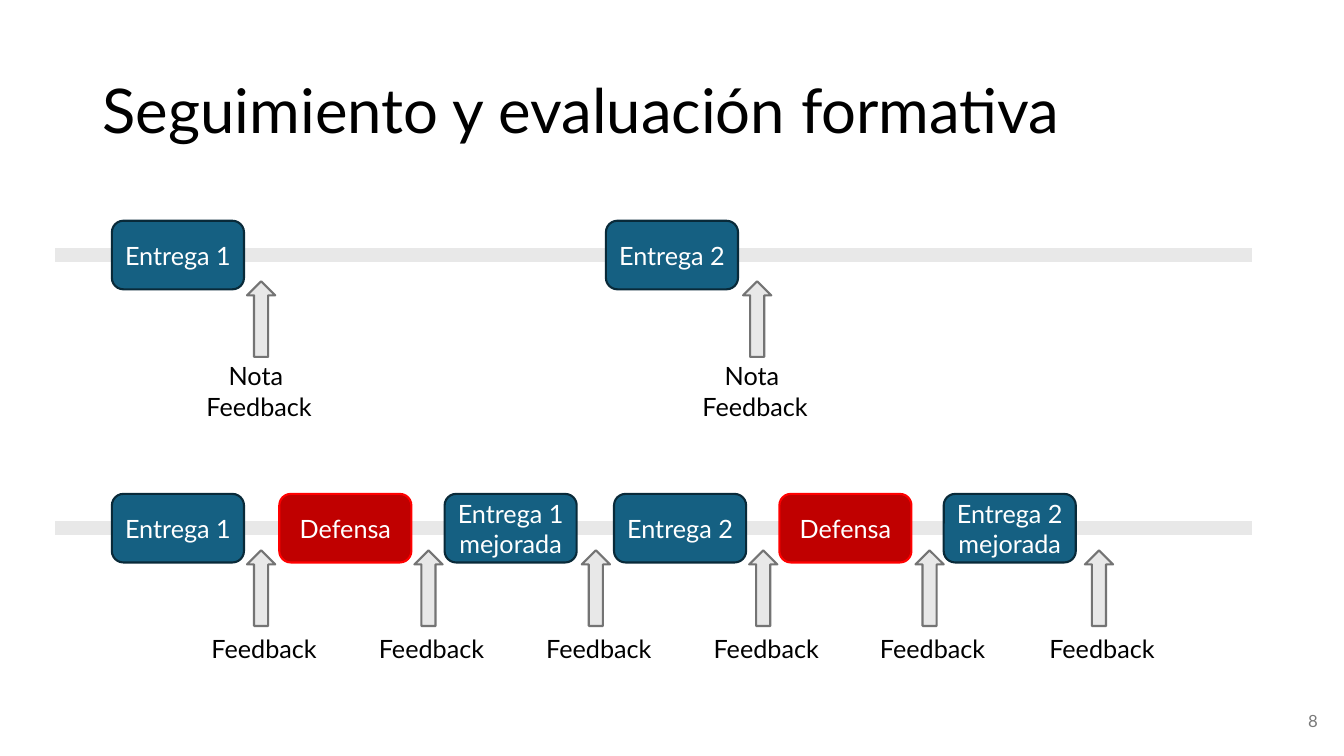
from lxml import etree
from pptx import Presentation
from pptx.dml.color import RGBColor
from pptx.enum.shapes import MSO_CONNECTOR, MSO_SHAPE
from pptx.enum.text import MSO_ANCHOR, MSO_AUTO_SIZE, PP_ALIGN
from pptx.oxml.ns import qn
from pptx.util import Inches, Pt

LEFT, CENTER, RIGHT = PP_ALIGN.LEFT, PP_ALIGN.CENTER, PP_ALIGN.RIGHT
MIDDLE = MSO_ANCHOR.MIDDLE
ROUNDED, UP_ARROW = MSO_SHAPE.ROUNDED_RECTANGLE, MSO_SHAPE.UP_ARROW
BLACK = RGBColor(0x00, 0x00, 0x00)
WHITE = RGBColor(0xFF, 0xFF, 0xFF)
TRACK_GRAY = RGBColor(0xE8, 0xE8, 0xE8)
ARROW_EDGE = RGBColor(0x74, 0x74, 0x74)
NUMBER_GRAY = RGBColor(0x79, 0x79, 0x79)
BLUE, BLUE_EDGE = RGBColor(0x15, 0x60, 0x82), RGBColor(0x09, 0x2A, 0x39)
CRIMSON, RED = RGBColor(0xC0, 0x00, 0x00), RGBColor(0xFF, 0x00, 0x00)

TRACK_START, TRACK_END = 0.55, 12.42
STEP_W, STEP_H, STEP_INSET = 1.31, 0.68, 0.04
ARROW_W, ARROW_H = 0.28, 0.75
LABEL_W = 1.27

# Each track: height of its line, steps (text, left), arrow drop,
# arrow centres, feedback text, its shift from the arrow, its drop and height
TRACKS = [
    (5.24,
     [("Entrega 1", 1.11), ("Defensa", 2.77), ("Entrega 1 mejorada", 4.41),
      ("Entrega 2", 6.09), ("Defensa", 7.73), ("Entrega 2 mejorada", 9.36)],
     0.22, [2.59, 4.25, 5.91, 7.57, 9.22, 10.9], "Feedback", 0.03, 0.99, 0.4),
    (2.53, [("Entrega 1", 1.11), ("Entrega 2", 6.01)],
     0.26, [2.59, 7.51], "Nota \nFeedback", -0.02, 1, 0.71),
]

prs = Presentation()
prs.slide_width, prs.slide_height = Inches(13.33), Inches(7.5)
slide = prs.slides.add_slide(prs.slide_layouts[6])
shapes = slide.shapes


def write(shape, text, size, color, align, anchor=MIDDLE, wrap=True):
    frame = shape.text_frame
    frame.text = text
    frame.word_wrap = wrap
    frame.vertical_anchor = anchor
    for paragraph in frame.paragraphs:
        paragraph.alignment = align
        for run in paragraph.runs:
            run.font.name = "Lato"
            run.font.size = Pt(size)
            run.font.color.rgb = color
    return frame


def add_block(kind, left, top, width, height, fill, edge):
    block = shapes.add_shape(kind, Inches(left), Inches(top), Inches(width), Inches(height))
    block.shadow.inherit = False
    block.fill.solid()
    block.fill.fore_color.rgb = fill
    block.line.color.rgb = edge
    block.line.width = Pt(1.5)
    return block


title = shapes.add_textbox(Inches(0.92), Inches(0.4), Inches(11.5), Inches(1.45))
write(title, "Seguimiento y evaluación formativa", 44, BLACK, LEFT).paragraphs[0].line_spacing = 0.9

for track_y, steps, arrow_drop, centers, feedback, shift, label_drop, label_h in TRACKS:
    track = shapes.add_connector(MSO_CONNECTOR.STRAIGHT, Inches(TRACK_START), Inches(track_y),
                                 Inches(TRACK_END), Inches(track_y))
    track.line.color.rgb = TRACK_GRAY
    track.line.width = Pt(10)
    etree.SubElement(track._element.spPr, qn("a:effectLst"))

    for step_text, left in steps:
        fill, edge = (CRIMSON, RED) if step_text == "Defensa" else (BLUE, BLUE_EDGE)
        step = add_block(ROUNDED, left, track_y - STEP_H / 2, STEP_W, STEP_H, fill, edge)
        step_frame = write(step, step_text, 18, WHITE, CENTER)
        step_frame.margin_left = step_frame.margin_right = Inches(STEP_INSET)

    for center in centers:
        add_block(UP_ARROW, center - ARROW_W / 2, track_y + arrow_drop, ARROW_W, ARROW_H,
                  TRACK_GRAY, ARROW_EDGE)
        label = shapes.add_textbox(Inches(center + shift - LABEL_W / 2),
                                   Inches(track_y + label_drop),
                                   Inches(LABEL_W), Inches(label_h))
        label_frame = write(label, feedback, 18, BLACK, CENTER, MSO_ANCHOR.TOP, wrap=False)
        label_frame.auto_size = MSO_AUTO_SIZE.SHAPE_TO_FIT_TEXT

page_number = shapes.add_textbox(Inches(10.17), Inches(6.95), Inches(3), Inches(0.4))
write(page_number, "8", 12, NUMBER_GRAY, RIGHT)

prs.save("out.pptx")
